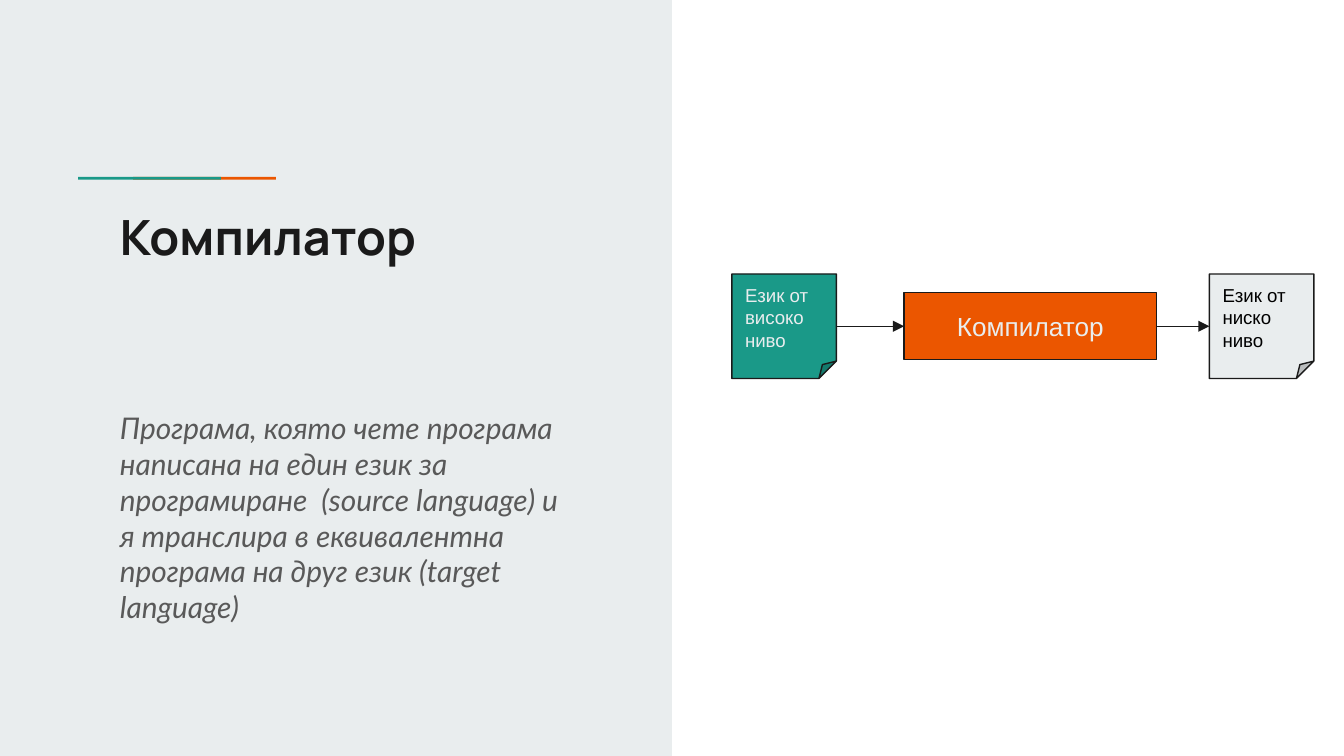
from lxml import etree
from pptx import Presentation
from pptx.dml.color import RGBColor
from pptx.enum import shapes as sh, text as tx
from pptx.oxml import ns
from pptx.util import Pt

INK, PALE, TEAL, ORANGE = "1A1A1A", "E9EDEE", "1A9988", "EB5600"
RECT = sh.MSO_SHAPE.RECTANGLE
NOTE = sh.MSO_SHAPE.FOLDED_CORNER


def color(code):
    return RGBColor.from_string(code)


def write(shape, words, font="Arial", size=10, ink=INK, bold=False,
          italic=False, align=tx.PP_ALIGN.LEFT, anchor=tx.MSO_ANCHOR.TOP):
    frame = shape.text_frame
    frame.word_wrap = True
    frame.vertical_anchor = anchor
    frame.margin_left = frame.margin_right = Pt(7.2)
    frame.margin_top = frame.margin_bottom = Pt(7.2)
    par = frame.paragraphs[0]
    par.alignment = align
    run = par.add_run()
    run.text = words
    face = run.font
    face.name, face.size, face.bold, face.italic = font, Pt(size), bold, italic
    face.color.rgb = color(ink)


def add_box(slide, kind, box, fill, line=None):
    shape = slide.shapes.add_shape(kind, *map(Pt, box))
    shape.shadow.inherit = False
    shape.fill.solid()
    shape.fill.fore_color.rgb = color(fill)
    if line:
        shape.line.color.rgb = color(line)
        shape.line.width = Pt(0.75)
    else:
        shape.line.fill.background()
    return shape


def add_arrow(slide, start, end):
    """Join the right side of start to the left side of end."""
    arrow = slide.shapes.add_connector(sh.MSO_CONNECTOR.STRAIGHT, 0, 0, 0, 0)
    arrow.begin_connect(start, 3)
    arrow.end_connect(end, 1)
    arrow.line.color.rgb = color(INK)
    arrow.line.width = Pt(0.75)
    tip = etree.SubElement(arrow.line._get_or_add_ln(), ns.qn("a:tailEnd"))
    tip.set("type", "triangle")
    etree.SubElement(arrow._element.spPr, ns.qn("a:effectLst"))


def add_panel(slide, box, title, body):
    left, top, width, height = box
    add_box(slide, RECT, box, PALE)
    for shift, fill in ((71.3, ORANGE), (41.8, TEAL)):
        add_box(slide, RECT, (left + shift, top + 94.8, 76.5, 1.5), fill)
    parts = (
        (title, 103.7, 133, dict(font="Manrope", size=26, bold=True)),
        (body, 212.4, 127, dict(font="Lato", size=16, ink="595959", italic=True)),
    )
    for words, drop, tall, style in parts:
        area = left + 57.2, top + drop, width - 100, tall
        write(slide.shapes.add_textbox(*map(Pt, area)), words, **style)


def add_flow(slide, box, source, tool, target):
    """Draw source, tool and target in a row, joined by arrows."""
    left, top, width, height = box
    side, tall = height, 36
    steps = (
        (NOTE, (left, top, side, side), TEAL, source, dict(ink=PALE)),
        (RECT, (left + 92.2, top + (side - tall) / 2, 135.4, tall), ORANGE, tool,
         dict(size=14, ink=PALE, align=tx.PP_ALIGN.CENTER)),
        (NOTE, (left + width - side, top, side, side), PALE, target,
         dict(ink="000000")),
    )
    made = []
    for kind, area, fill, words, style in steps:
        shape = add_box(slide, kind, area, fill, INK)
        write(shape, words, anchor=tx.MSO_ANCHOR.MIDDLE, **style)
        made.append(shape)
    for start, end in zip(made, made[1:]):
        add_arrow(slide, start, end)


def main():
    deck = Presentation()
    deck.slide_width, deck.slide_height = Pt(720), Pt(405)
    slide = deck.slides.add_slide(deck.slide_layouts[6])
    add_panel(slide, (0, 0, 360, 405), "Компилатор",
              "Програма, която чете програма написана на един език за "
              "програмиране  (source language) и я транслира в еквивалентна "
              "програма на друг език (target language)")
    add_flow(slide, (392.1, 146.8, 311.8, 56), "Език от високо ниво",
             "Компилатор", "Език от ниско ниво")
    deck.save("out.pptx")


if __name__ == "__main__":
    main()
